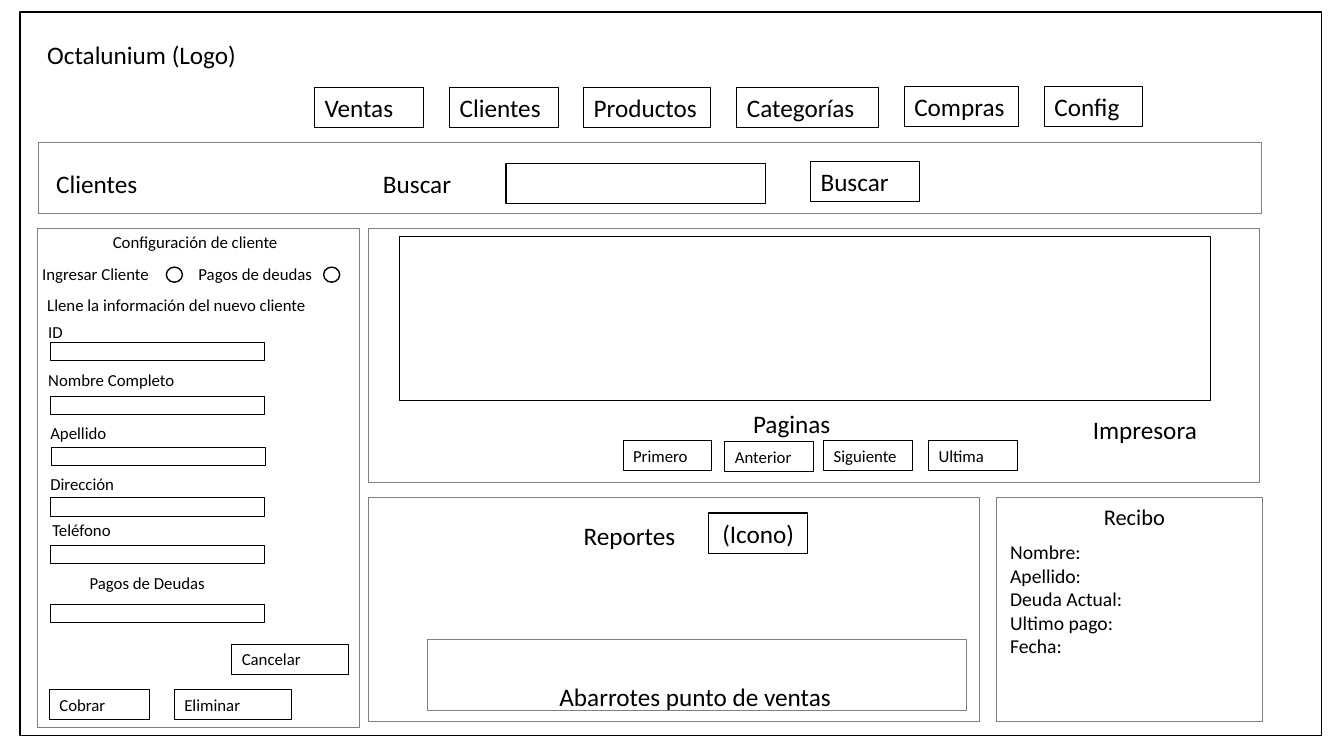
from dataclasses import dataclass

from pptx import Presentation
from pptx import util as u
from pptx.dml.color import RGBColor
from pptx.enum import shapes, text

BLACK = RGBColor(0x00, 0x00, 0x00)
GRAY = RGBColor(0x80, 0x80, 0x80)
WHITE = RGBColor(0xFF, 0xFF, 0xFF)
FONT = "Calibri"
LINE_HEIGHT = {12: 0.3, 14: 1.28, 16: 0.37, 18: 0.4}
RECTANGLE = shapes.MSO_SHAPE.RECTANGLE
OVAL = shapes.MSO_SHAPE.OVAL


@dataclass(frozen=True)
class Box:
    left: float
    top: float
    width: float
    height: float
    line: RGBColor = BLACK
    weight: float = 0.75
    filled: bool = False
    kind: shapes.MSO_SHAPE = RECTANGLE


@dataclass(frozen=True)
class Label:
    words: str
    left: float
    top: float
    width: float
    size: int = 12
    middle: bool = False


def write(shape, words: str, size: int, middle: bool = False,
          centered: bool = False, grow: bool = True) -> None:
    """Fill a shape with one paragraph per line of words."""
    frame = shape.text_frame
    frame_format = {
        "word_wrap": True,
        "auto_size": text.MSO_AUTO_SIZE.SHAPE_TO_FIT_TEXT if grow
        else text.MSO_AUTO_SIZE.NONE,
        "vertical_anchor": text.MSO_ANCHOR.MIDDLE if middle else text.MSO_ANCHOR.TOP,
    }
    for name, value in frame_format.items():
        setattr(frame, name, value)
    for index, words_line in enumerate(words.split("\n")):
        para = frame.add_paragraph() if index else frame.paragraphs[0]
        para.alignment = text.PP_ALIGN.CENTER if centered else text.PP_ALIGN.LEFT
        span = para.add_run()
        span.text = words_line
        for name, value in {"name": FONT, "size": u.Pt(size)}.items():
            setattr(span.font, name, value)
        span.font.color.rgb = BLACK


def draw_box(page, box: Box):
    edges = (u.Inches(n) for n in (box.left, box.top, box.width, box.height))
    shape = page.shapes.add_shape(box.kind, *edges)
    shape.shadow.inherit = False
    if box.filled:
        shape.fill.solid()
        shape.fill.fore_color.rgb = WHITE
    else:
        shape.fill.background()
    shape.line.color.rgb = box.line
    shape.line.width = u.Pt(box.weight)
    return shape


def draw_button(page, label: Label) -> None:
    box = Box(label.left, label.top, label.width, LINE_HEIGHT[label.size])
    write(draw_box(page, box), label.words, label.size)


def draw_label(page, label: Label) -> None:
    edges = (label.left, label.top, label.width, LINE_HEIGHT[label.size])
    shape = page.shapes.add_textbox(*(u.Inches(n) for n in edges))
    write(shape, label.words, label.size, middle=label.middle)


WINDOW = Box(0.2, 0.12, 12.91, 7.18, weight=1, filled=True)
ICON = Box(7.03, 5.09, 0.98, 0.4, weight=1, filled=True)

PANELS = [
    Box(0.38, 1.41, 12.13, 0.71, GRAY),  # search bar
    Box(3.66, 2.27, 8.83, 2.52, GRAY),  # results
    Box(3.66, 4.94, 6.06, 2.22, GRAY),  # reports
    Box(9.88, 4.94, 2.64, 2.22, GRAY),  # receipt
    Box(0.37, 2.27, 3.2, 4.95, GRAY),  # client form
    Box(4.24, 6.34, 5.35, 0.71, GRAY),  # footer
    Box(3.96, 2.35, 8.05, 1.62),  # results table
]

SEARCH_FIELD = Box(5.02, 1.62, 2.57, 0.4, weight=1, filled=True)
RADIO_BUTTONS = [Box(left, 2.65, 0.16, 0.15, weight=1, filled=True, kind=OVAL)
                 for left in (1.65, 3.21)]
FORM_FIELDS = [Box(left, top, 2.12, 0.18) for left, top in
               [(0.5, 3.4), (0.5, 3.93), (0.51, 4.44),
                (0.5, 4.94), (0.5, 5.41), (0.5, 6)]]

BUTTONS = [
    # Main menu
    Label("Ventas", 3.12, 0.87, 1.08, 18),
    Label("Clientes", 4.46, 0.87, 1.08, 18),
    Label("Productos", 5.79, 0.87, 1.26, 18),
    Label("Categorías", 7.31, 0.87, 1.4, 18),
    Label("Compras", 8.97, 0.86, 1.13, 18),
    Label("Config", 10.36, 0.86, 0.97, 18),
    Label("Buscar", 8.04, 1.6, 1.08, 18),
    # Paging
    Label("Primero", 6.18, 4.37, 0.88),
    Label("Anterior", 7.19, 4.38, 0.88),
    Label("Siguiente", 8.17, 4.37, 0.88),
    Label("Ultima", 9.21, 4.37, 0.88),
    # Form actions
    Label("Cancelar", 2.3, 6.39, 1.16),
    Label("Cobrar", 0.49, 6.84, 0.99),
    Label("Eliminar", 1.73, 6.84, 1.16),
]

LABELS = [
    # Header and search bar
    Label("Octalunium (Logo)", 0.37, 0.34, 2.58, 18),
    Label("Clientes", 0.46, 1.62, 1.1, 18),
    Label("Buscar", 3.7, 1.62, 1.08, 18),
    # Client form
    Label("Configuración de cliente", 1.02, 2.25, 2.68),
    Label("Ingresar Cliente", 0.32, 2.57, 1.32),
    Label("Pagos de deudas", 1.87, 2.57, 1.36),
    Label("Llene la información del nuevo cliente", 0.37, 2.87, 3.02),
    Label("ID", 0.38, 3.14, 0.54),
    Label("Nombre Completo", 0.38, 3.62, 1.56),
    Label("Apellido", 0.4, 4.14, 0.99),
    Label("Dirección", 0.4, 4.65, 1.18),
    Label("Teléfono", 0.42, 5.11, 1.18),
    Label("Pagos de Deudas", 0.79, 5.63, 1.55),
    # Results and reports
    Label("Paginas", 7.37, 4, 1.02, 18),
    Label("Impresora", 10.74, 4.06, 1.26, 18),
    Label("Reportes", 5.69, 5.11, 1.24, 18),
    Label("Abarrotes punto de ventas", 5.45, 6.71, 2.98, 18, middle=True),
    # Receipt
    Label("Recibo", 10.85, 4.94, 0.91, 16),
    Label("Nombre:\nApellido:\nDeuda Actual:\nUltimo pago:\nFecha:",
          9.92, 5.31, 2.89, 14),
]


def main() -> None:
    deck = Presentation()
    deck.slide_width, deck.slide_height = u.Inches(13.33), u.Inches(7.5)
    page = deck.slides.add_slide(deck.slide_layouts[6])

    for box in [WINDOW, *PANELS, SEARCH_FIELD, *RADIO_BUTTONS, *FORM_FIELDS]:
        draw_box(page, box)
    write(draw_box(page, ICON), "(Icono)", 18, middle=True, centered=True, grow=False)
    for button in BUTTONS:
        draw_button(page, button)
    for label in LABELS:
        draw_label(page, label)

    deck.save("out.pptx")


if __name__ == "__main__":
    main()
